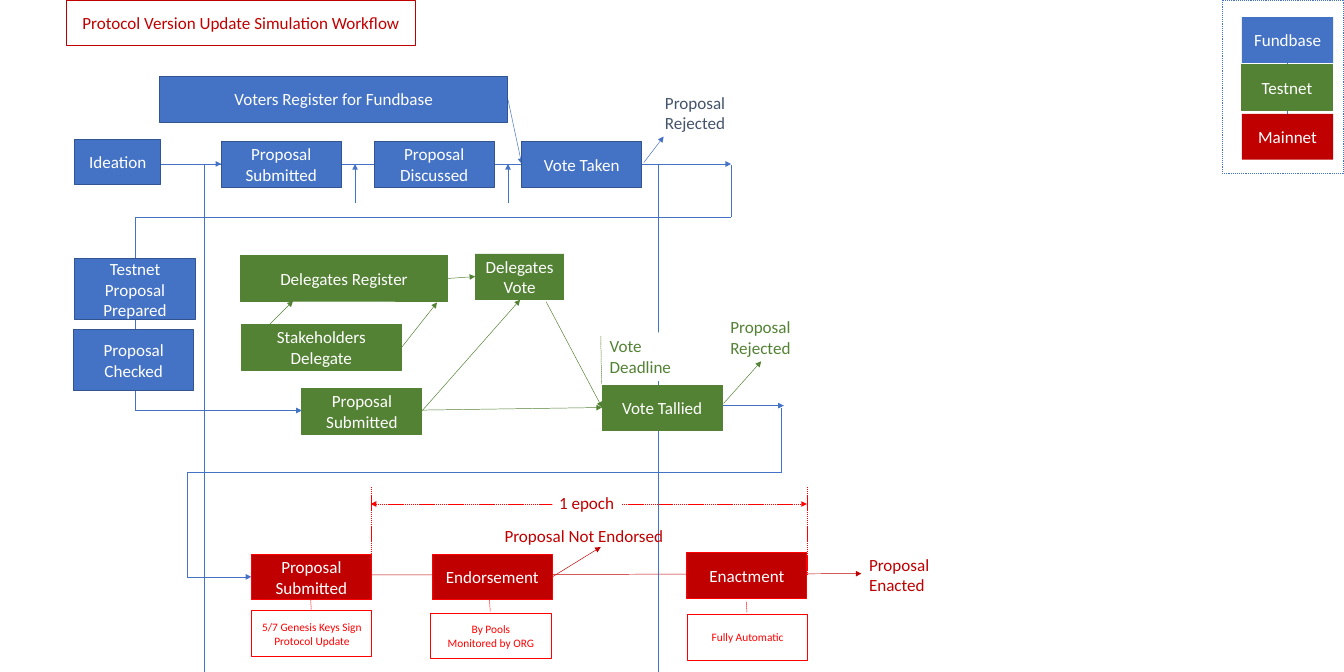
from itertools import pairwise

from lxml import etree
from pptx import Presentation
from pptx.dml.color import RGBColor
from pptx.enum.dml import MSO_LINE
from pptx.enum.shapes import MSO_CONNECTOR, MSO_SHAPE
from pptx.enum.text import MSO_ANCHOR, PP_ALIGN
from pptx.oxml.ns import qn
from pptx.util import Cm, Pt

RECT = MSO_SHAPE.RECTANGLE
STRAIGHT = MSO_CONNECTOR.STRAIGHT
DASH, DOT = MSO_LINE.SQUARE_DOT, MSO_LINE.ROUND_DOT
LEFT, CENTER = PP_ALIGN.LEFT, PP_ALIGN.CENTER
TOP, MIDDLE = MSO_ANCHOR.TOP, MSO_ANCHOR.MIDDLE

WHITE = RGBColor(0xFF, 0xFF, 0xFF)
BLUE = RGBColor(0x44, 0x72, 0xC4)
NAVY = RGBColor(0x32, 0x54, 0x91)
SLATE = RGBColor(0x44, 0x54, 0x6A)
GREEN = RGBColor(0x54, 0x82, 0x35)
CRIMSON = RGBColor(0xC0, 0x00, 0x00)
RED = RGBColor(0xFF, 0x00, 0x00)

# All places and sizes are in centimetres
WIDE, HIGH = 50, 25
BOX_W, BOX_H = 4.47, 1.7
KEY_W = 3.4
ROW = 6.1  # height of the main line in the first stage

# Stage boxes: fill, outline, then text, left, top, width, height
STAGES = [
    (BLUE, NAVY, [
        ("Voters Register for Fundbase", 5.94, 2.84, 12.95, BOX_H),
        ("Ideation", 2.79, 5.18, 3.18, BOX_H),
        ("Proposal Submitted", 8.23, 5.26, BOX_W, BOX_H),
        ("Proposal Discussed", 13.92, 5.26, BOX_W, BOX_H),
        ("Vote Taken", 19.41, 5.26, BOX_W, BOX_H),
        ("Testnet\nProposal\nPrepared", 2.79, 9.63, BOX_W, 2.26),
        ("Proposal\nChecked", 2.74, 12.27, BOX_W, 2.26),
    ]),
    (GREEN, GREEN, [
        ("Delegates Register", 8.94, 9.5, 7.72, BOX_H),
        ("Stakeholders Delegate", 8.97, 12.07, 5.97, BOX_H),
        ("Delegates Vote", 17.68, 9.45, 3.3, BOX_H),
        ("Proposal Submitted", 11.23, 14.45, BOX_W, BOX_H),
        ("Vote Tallied", 22.4, 14.33, BOX_W, BOX_H),
        ("Testnet", 46.18, 2.41, KEY_W, BOX_H),
    ]),
    (CRIMSON, RED, [
        ("Proposal Submitted", 9.35, 20.62, BOX_W, BOX_H),
        ("Endorsement", 16.08, 20.62, BOX_W, BOX_H),
        ("Enactment", 25.55, 20.55, BOX_W, BOX_H),
    ]),
    (BLUE, None, [("Fundbase", 46.2, 0.64, KEY_W, BOX_H)]),
    (CRIMSON, None, [("Mainnet", 46.2, 4.24, KEY_W, BOX_H)]),
]

TITLE = ("Protocol Version Update Simulation Workflow", 2.49, 0, 12.95, BOX_H)
NOTES = [
    ("5/7 Genesis Keys Sign\nProtocol Update", 9.37, 22.73, BOX_W, BOX_H),
    ("By Pools\nMonitored by ORG", 16.03, 22.81, BOX_W, BOX_H),
    ("Fully Automatic", 25.58, 22.86, BOX_W, BOX_H),
]

# Plain labels: place, colour, fill, wrap
LABELS = [
    (("Proposal\nRejected", 24.49, 3.3, 2.77, 1.8), SLATE, None, False),
    (("Proposal\nRejected", 26.92, 11.66, 2.77, 1.8), GREEN, None, False),
    (("Proposal\nEnacted", 32.08, 20.5, 2.77, 1.8), CRIMSON, None, False),
    (("Proposal Not Endorsed", 18.52, 19.43, 7.77, 1.02), CRIMSON, None, True),
    (("1 epoch", 20.55, 18.19, 2.59, 1.02), CRIMSON, WHITE, True),
    (("Vote\nDeadline", 22.43, 12.37, 3.48, 1.8), GREEN, WHITE, True),
]

# Routes with an arrow at the last point
ARROWS = [
    (BLUE, [
        [(2.97, ROW), (27.2, ROW)],
        [(18.9, 3.71), (19.41, ROW)],
        [(7.59, HIGH), (7.59, ROW), (8.23, ROW)],
        [(13.21, 7.57), (13.21, ROW)],
        [(18.9, 7.57), (18.9, ROW)],
        [(23.95, 6.05), (24.69, 5.08)],
        [(27.2, 6.15), (27.2, 8.08), (5.03, 8.08), (5.03, 15.27), (11.23, 15.27)],
        [(26.85, 15.09), (29.16, 15.09)],
        [(29.08, 15.16), (29.08, 17.58), (6.96, 17.58), (6.96, 21.46), (9.35, 21.46)],
    ]),
    (GREEN, [
        [(11.23, 15.32), (22.4, 15.16)],
        [(20.32, 11.23), (22.4, 15.16)],
        [(10.03, 12.07), (10.9, 11.2)],
        [(14.96, 12.9), (16.26, 11.25)],
        [(26.92, 15.01), (28.32, 13.44)],
        [(16.66, 10.36), (17.68, 10.29)],
        [(15.67, 15.32), (19.35, 11.15)],
    ]),
    (CRIMSON, [
        [(13.64, 21.39), (32.05, 21.34)],
        [(20.55, 21.46), (22.35, 20.35)],
    ]),
]
PLAIN = [
    [(24.49, ROW), (24.49, HIGH)],
    [(47.9, 2.34), (47.9, 5.56)],
]
DASHED = [
    (RED, [(13.82, 18.11), (13.82, 21.46)]),
    (RED, [(30.02, 18.11), (30.02, 21.39)]),
    (RED, [(11.56, 22.33), (11.58, 22.73)]),
    (RED, [(18.21, 22.33), (18.24, 22.76)]),
    (RED, [(27.76, 22.38), (27.79, 22.78)]),
    (GREEN, [(22.35, 12.5), (22.38, 14.27)]),
]
EPOCH = [(13.79, 18.75), (30.02, 18.75)]

deck = Presentation()
deck.slide_width, deck.slide_height = Cm(WIDE), Cm(HIGH)
slide = deck.slides.add_slide(deck.slide_layouts[6])


def add_text(frame, text, size=18, color=WHITE, align=CENTER, anchor=MIDDLE, wrap=True):
    frame.word_wrap = wrap
    frame.vertical_anchor = anchor
    para = frame.paragraphs[0]
    para.text = text
    para.alignment = align
    for run in para.runs:
        run.font.name = "Calibri"
        run.font.size = Pt(size)
        run.font.color.rgb = color
    for gap in para._p.findall(qn("a:br")):
        etree.SubElement(gap, qn("a:rPr"), sz=str(size * 100))


def add_box(place, fill=None, edge=None, dash=None, **look):
    text, *spot = place
    box = slide.shapes.add_shape(RECT, *map(Cm, spot))
    box.shadow.inherit = False
    if fill is None:
        box.fill.background()
    else:
        box.fill.solid()
        box.fill.fore_color.rgb = fill
    if edge is None:
        box.line.fill.background()
    else:
        box.line.color.rgb = edge
        box.line.width = Pt(1)
        box.line.dash_style = dash
    if text:
        add_text(box.text_frame, text, **look)


def add_route(points, color, dash=None, ends=()):
    for start, stop in pairwise(points):
        line = slide.shapes.add_connector(STRAIGHT, *map(Cm, start + stop))
        line.line.color.rgb = color
        line.line.width = Pt(0.5)
        line.line.dash_style = dash
        etree.SubElement(line._element.spPr, qn("a:effectLst"))
    for end in ends:
        etree.SubElement(line.line._ln, qn(end), type="triangle")


# Lines, behind the boxes
for color, routes in ARROWS:
    for route in routes:
        add_route(route, color, ends=["a:tailEnd"])
for route in PLAIN:
    add_route(route, BLUE)
for color, route in DASHED:
    add_route(route, color, DASH)
add_route(EPOCH, RED, DASH, ["a:headEnd", "a:tailEnd"])

# Legend frame, stage boxes, title and notes
add_box(("", 45.47, 0, 4.53, 6.45), edge=BLUE, dash=DOT)
for fill, edge, places in STAGES:
    for place in places:
        add_box(place, fill, edge)
add_box(TITLE, WHITE, CRIMSON, color=CRIMSON)
for place in NOTES:
    add_box(place, WHITE, RED, color=RED, size=12)

# Labels
for place, color, fill, wrap in LABELS:
    add_box(place, fill, color=color, align=LEFT, anchor=TOP, wrap=wrap)

deck.save("out.pptx")
